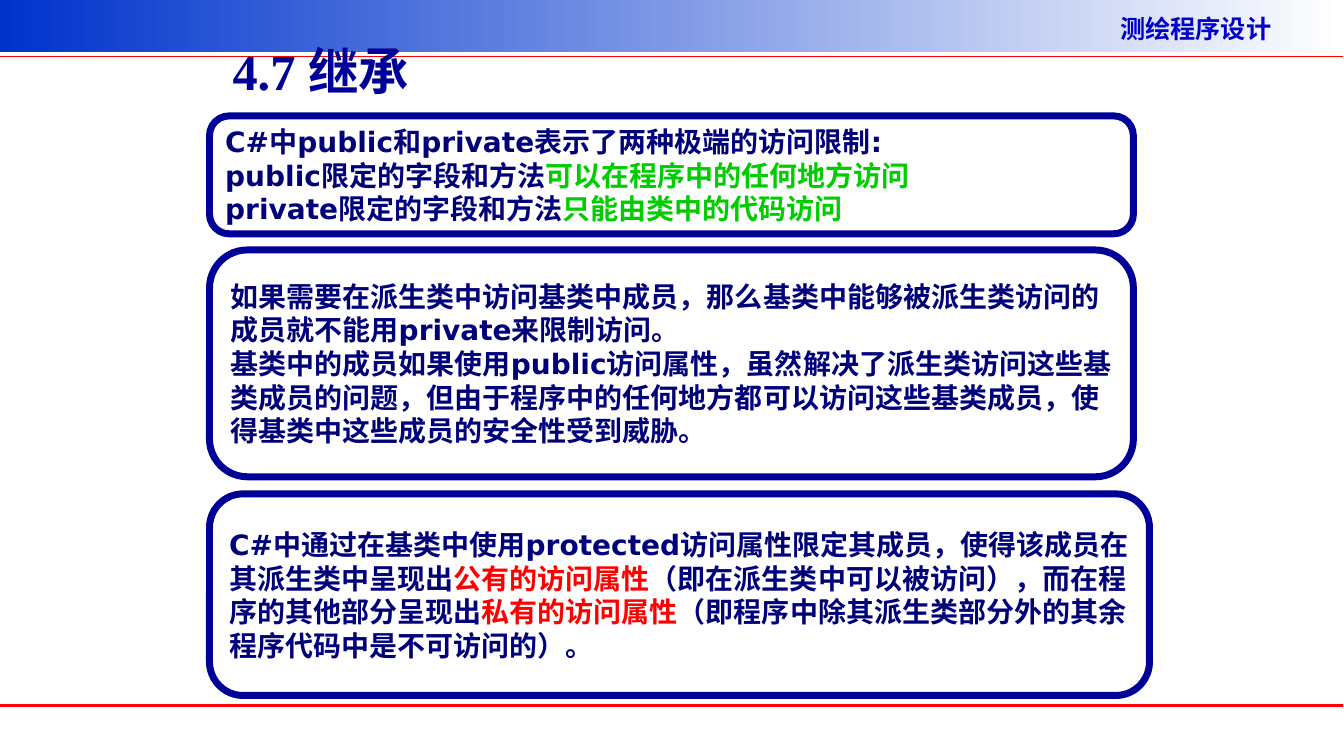
from pptx import Presentation
from pptx.dml.color import RGBColor
from pptx.enum.shapes import MSO_CONNECTOR, MSO_SHAPE
from pptx.enum.text import MSO_ANCHOR, PP_ALIGN
from pptx.oxml.ns import qn
from pptx.util import Inches, Pt
from lxml import etree

COLORS = {
    "banner": "0033CC", "white": "FFFFFF", "course": "0000CC", "navy": "000099",
    "body": "00007A", "green": "00CC00", "red": "FF0000",
}
CHINESE_FONT = "Noto Sans CJK SC"


def color(name):
    return RGBColor.from_string(COLORS[name])


def write_text(shape, paragraphs, size, font_name):
    """Fill a shape with paragraphs, each a list of (text, color name) runs."""
    frame = shape.text_frame
    frame.word_wrap = True
    frame.vertical_anchor = MSO_ANCHOR.MIDDLE
    for index, runs in enumerate(paragraphs):
        paragraph = frame.add_paragraph() if index else frame.paragraphs[0]
        paragraph.alignment = PP_ALIGN.LEFT
        for text, color_name in runs:
            run = paragraph.add_run()
            run.text = text
            run.font.size = Pt(size)
            run.font.bold = True
            run.font.name = font_name
            run.font.color.rgb = color(color_name)
            east_asian = etree.SubElement(run.font._element, qn("a:ea"))
            east_asian.set("typeface", CHINESE_FONT)


presentation = Presentation()
presentation.slide_width = Inches(13.34)
presentation.slide_height = Inches(7.5)
slide = presentation.slides.add_slide(presentation.slide_layouts[6])

# Gradient banner
banner = slide.shapes.add_shape(
    MSO_SHAPE.RECTANGLE, 0, 0, Inches(13.33), Inches(0.52))
banner.shadow.inherit = False
banner.line.fill.background()
banner.fill.gradient()
banner.fill.gradient_angle = 0
for stop, name in zip(banner.fill.gradient_stops, ("banner", "white")):
    stop.color.rgb = color(name)

# Header and footer rules
for top, width in ((0.56, 1), (7, 2.25)):
    rule = slide.shapes.add_connector(
        MSO_CONNECTOR.STRAIGHT, 0, Inches(top), Inches(13.33), Inches(top))
    rule.line.color.rgb = color("red")
    rule.line.width = Pt(width)
    etree.SubElement(rule._element.spPr, qn("a:effectLst"))

# Course name and title
course = slide.shapes.add_textbox(
    Inches(11.02), Inches(0.08), Inches(2.5), Inches(0.4))
write_text(course, [[("测绘程序设计", "course")]], 18, CHINESE_FONT)
title = slide.shapes.add_textbox(
    Inches(2.21), Inches(0.39), Inches(7.73), Inches(0.62))
write_text(title, [[("4.7 继承", "navy")]], 36, "Times New Roman")

# Rounded boxes: top, width, height, paragraphs
boxes = [
    (1.15, 9.17, 1.17, [
        [("C#中public和private表示了两种极端的访问限制:", "body")],
        [("public限定的字段和方法", "body"),
         ("可以在程序中的任何地方访问", "green")],
        [("private限定的字段和方法", "body"),
         ("只能由类中的代码访问", "green")],
    ]),
    (2.48, 9.17, 2.25, [
        [("如果需要在派生类中访问基类中成员，那么基类中能够被派生类访问的"
          "成员就不能用private来限制访问。", "body")],
        [("基类中的成员如果使用public访问属性，虽然解决了派生类访问这些"
          "基类成员的问题，但由于程序中的任何地方都可以访问这些基类成员，"
          "使得基类中这些成员的安全性受到威胁。", "body")],
    ]),
    (4.9, 9.33, 2, [
        [("C#中通过在基类中使用protected访问属性限定其成员，使得该成员"
          "在其派生类中呈现出", "body"),
         ("公有的访问属性", "red"),
         ("（即在派生类中可以被访问），而在程序的其他部分呈现出", "body"),
         ("私有的访问属性", "red"),
         ("（即程序中除其派生类部分外的其余程序代码中是不可访问的）。", "body")],
    ]),
]
for top, width, height, paragraphs in boxes:
    box = slide.shapes.add_shape(
        MSO_SHAPE.ROUNDED_RECTANGLE,
        Inches(2.08), Inches(top), Inches(width), Inches(height))
    box.shadow.inherit = False
    box.fill.background()
    box.line.color.rgb = color("navy")
    box.line.width = Pt(5)
    write_text(box, paragraphs, 20, "DejaVu Sans")

presentation.save("out.pptx")
